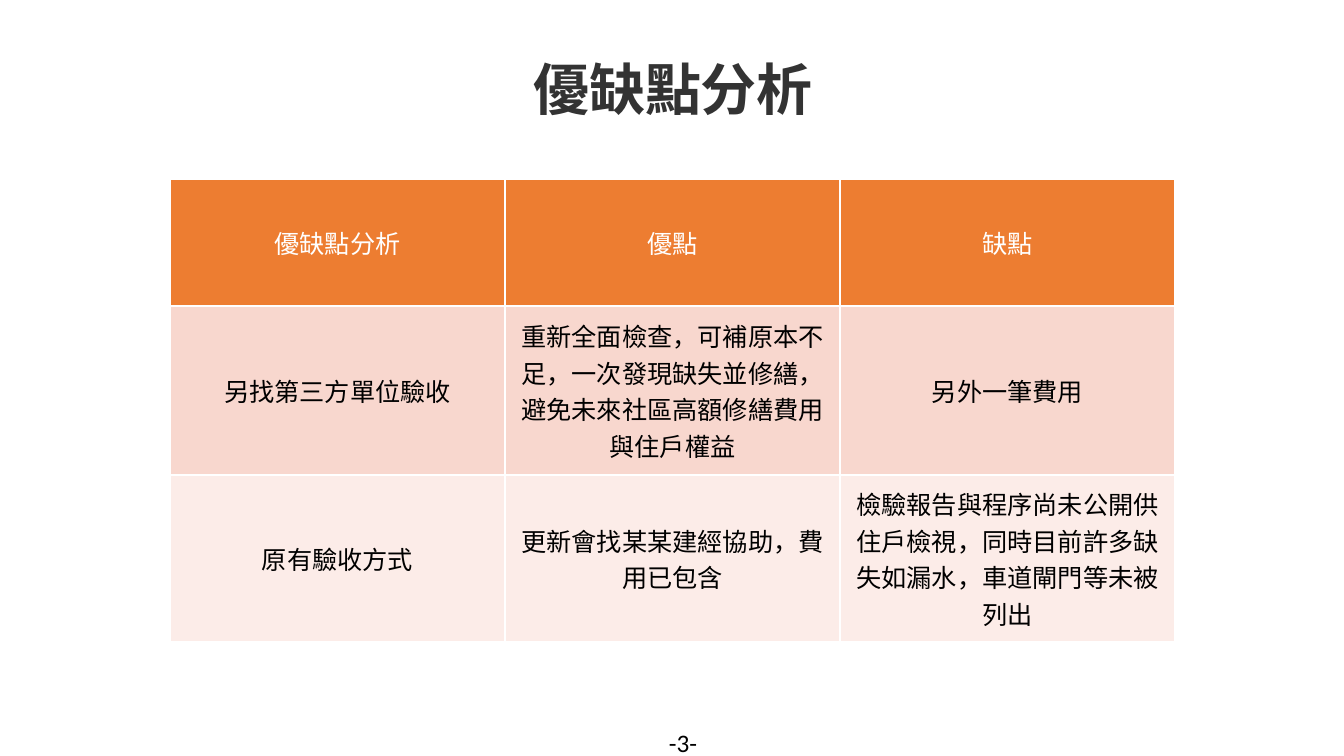
from lxml.etree import SubElement
from pptx import Presentation
from pptx.dml.color import RGBColor
from pptx.enum.text import MSO_ANCHOR, PP_ALIGN
from pptx.oxml import parse_xml
from pptx.oxml.ns import qn
from pptx.util import Pt

TITLE = "優缺點分析"
PAGE_NUMBER = "-3-"
ROWS = [
    ("優缺點分析", "優點", "缺點"),
    (
        "另找第三方單位驗收",
        "重新全面檢查，可補原本不足，一次發現缺失並修繕，避免未來社區高額修繕費用與住戶權益",
        "另外一筆費用",
    ),
    (
        "原有驗收方式",
        "更新會找某某建經協助，費用已包含",
        "檢驗報告與程序尚未公開供住戶檢視，同時目前許多缺失如漏水，車道閘門等未被列出",
    ),
]

WHITE = RGBColor(0xFF, 0xFF, 0xFF)
BLACK = RGBColor(0x00, 0x00, 0x00)
CHARCOAL = RGBColor(0x33, 0x33, 0x33)
ORANGE = RGBColor(0xED, 0x7D, 0x31)
PEACH = RGBColor(0xF8, 0xD7, 0xCE)
PALE_PEACH = RGBColor(0xFC, 0xEC, 0xE8)
ROW_STYLES = [(127, ORANGE, WHITE), (169, PEACH, BLACK), (167, PALE_PEACH, BLACK)]
COLUMN_WIDTH = 335
CJK_FONT = "Noto Sans CJK SC"
DRAWING = "http://schemas.openxmlformats.org/drawingml/2006/main"


def px(length):
    return round(length * 914400 / 100.8)


def write(frame, text, size=18, font=CJK_FONT, color=BLACK, bold=False,
          align=PP_ALIGN.CENTER, spacing=None):
    para = frame.paragraphs[0]
    para.alignment = align
    para.line_spacing = spacing
    span = para.add_run()
    span.text = text
    span.font.size = Pt(size)
    span.font.name = font
    span.font.bold = bold
    span.font.color.rgb = color
    SubElement(span.font._element, qn("a:ea")).set("typeface", font)


def add_borders(cell):
    properties = cell._tc.get_or_add_tcPr()
    for index, side in enumerate("LRTB"):
        properties.insert(index, parse_xml(
            f'<a:ln{side} xmlns:a="{DRAWING}" w="{Pt(1)}"><a:solidFill>'
            f'<a:srgbClr val="{WHITE}"/></a:solidFill></a:ln{side}>'))


def add_title(page):
    title = page.shapes.title
    title.left, title.top, title.width, title.height = map(px, (495, 45, 356, 95))
    title.text_frame.vertical_anchor = MSO_ANCHOR.MIDDLE
    write(title.text_frame, TITLE, size=40, color=CHARCOAL, bold=True, spacing=0.9)


def add_comparison(page):
    columns = len(ROWS[0])
    height = sum(style[0] for style in ROW_STYLES)
    table = page.shapes.add_table(
        len(ROWS), columns, px(170), px(179), px(COLUMN_WIDTH * columns), px(height)).table
    for column in table.columns:
        column.width = px(COLUMN_WIDTH)
    for row, texts, (row_height, fill, color) in zip(table.rows, ROWS, ROW_STYLES):
        row.height = px(row_height)
        for cell, text in zip(row.cells, texts):
            cell.fill.solid()
            cell.fill.fore_color.rgb = fill
            cell.vertical_anchor = MSO_ANCHOR.MIDDLE
            add_borders(cell)
            write(cell.text_frame, text, color=color)


def add_page_number(page):
    box = page.shapes.add_textbox(px(659), px(722), px(48), px(40))
    box.text_frame.word_wrap = False
    write(box.text_frame, PAGE_NUMBER, font="Calibri", align=PP_ALIGN.LEFT)


def main():
    deck = Presentation()
    deck.slide_width, deck.slide_height = px(1344), px(756)
    page = deck.slides.add_slide(deck.slide_layouts[5])
    add_title(page)
    add_comparison(page)
    add_page_number(page)
    deck.save("out.pptx")


if __name__ == "__main__":
    main()
